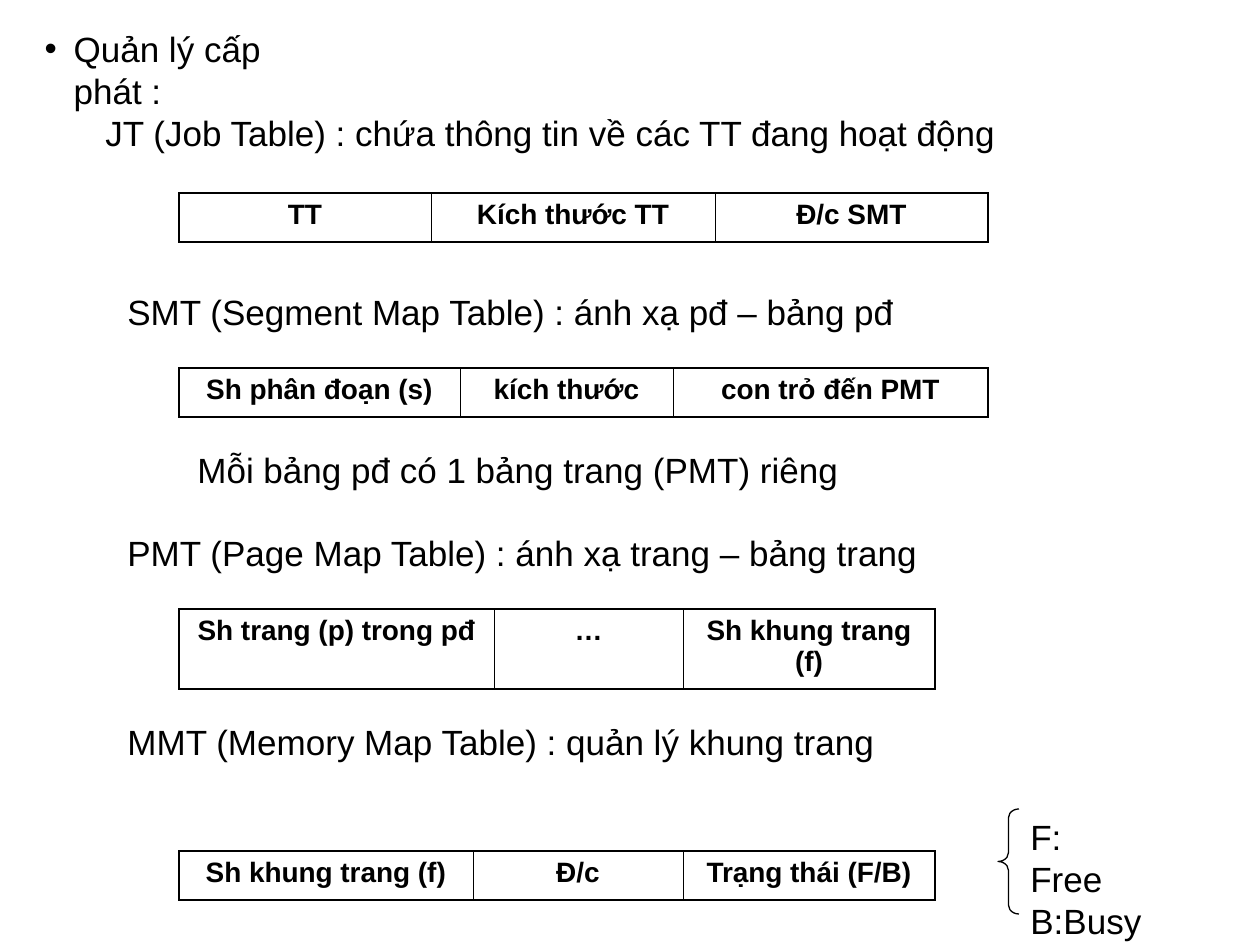
import dataclasses
import typing

import lxml.etree
import pptx
import pptx.dml.color
import pptx.enum.shapes
import pptx.enum.text
import pptx.oxml.ns
import pptx.util

BLACK = pptx.dml.color.RGBColor(0x00, 0x00, 0x00)
FONT = "Arial"
SCALE = 914400 / 126  # EMU in one px
GRID_LEFT = 179
THICK, THIN = 1.08, 0.45  # border widths in points


@dataclasses.dataclass(frozen=True)
class Label:
    left: int
    top: int
    width: int
    lines: tuple[str, ...]
    height: int = 55


@dataclasses.dataclass(frozen=True)
class Grid:
    top: int
    height: int
    widths: tuple[int, ...]
    heads: tuple[str, ...]


LABELS = (
    Label(93, 105, 922, ("JT (Job Table) : chứa thông tin về các TT đang hoạt động",)),
    Label(115, 284, 796, ("SMT (Segment Map Table) : ánh xạ pđ – bảng pđ",)),
    Label(185, 442, 667, ("Mỗi bảng pđ có 1 bảng trang (PMT) riêng",)),
    Label(115, 525, 820, ("PMT (Page Map Table) : ánh xạ trang – bảng trang",)),
    Label(115, 714, 777, ("MMT (Memory Map Table) : quản lý khung trang",)),
    Label(1018, 809, 137, ("F: Free", "B:Busy"), height=97),
)
GRIDS = (
    Grid(193, 49, (252, 284, 273), ("TT", "Kích thước TT", "Đ/c SMT")),
    Grid(368, 49, (281, 213, 315), ("Sh phân đoạn (s)", "kích thước", "con trỏ đến PMT")),
    Grid(609, 80, (315, 189, 252), ("Sh trang (p) trong pđ", "…", "Sh khung trang (f)")),
    Grid(851, 49, (294, 210, 252), ("Sh khung trang (f)", "Đ/c", "Trạng thái (F/B)")),
)


def px(count: int) -> pptx.util.Emu:
    return pptx.util.Emu(round(count * SCALE))


def write(frame: typing.Any, lines: tuple[str, ...], *, size: int = 20, bold: bool = False,
          center: bool = False, wrap: bool = False, bullet: bool = False) -> None:
    """Fill a text frame with one paragraph for each line."""
    frame.word_wrap = wrap
    align = pptx.enum.text.PP_ALIGN
    for order, line in enumerate(lines):
        para = frame.add_paragraph() if order else frame.paragraphs[0]
        para.text = line
        para.alignment = align.CENTER if center else align.LEFT
        para.space_before = pptx.util.Pt(0)
        if bullet:
            props = para._p.get_or_add_pPr()
            props.set("marL", str(px(29)))
            props.set("indent", str(-px(29)))
            mark = lxml.etree.SubElement(props, pptx.oxml.ns.qn("a:buChar"))
            mark.set("char", "•")
        para.font.name = FONT
        para.font.size = pptx.util.Pt(size)
        para.font.bold = bold
        para.font.color.rgb = BLACK


def draw_topic(slide: typing.Any) -> None:
    slide.shapes.title._element.getparent().remove(slide.shapes.title._element)
    body = slide.placeholders[1]
    body.left, body.top, body.width, body.height = px(32), px(21), px(331), px(55)
    write(body.text_frame, ("Quản lý cấp phát :",), wrap=True, bullet=True)
    body.text_frame.auto_size = pptx.enum.text.MSO_AUTO_SIZE.NONE


def draw_label(slide: typing.Any, label: Label) -> None:
    box = slide.shapes.add_textbox(px(label.left), px(label.top), px(label.width), px(label.height))
    write(box.text_frame, label.lines)


def add_edge(cell: typing.Any, side: str, width: float) -> None:
    props = cell._tc.get_or_add_tcPr()
    edge = lxml.etree.SubElement(props, pptx.oxml.ns.qn(f"a:ln{side}"))
    edge.set("w", str(pptx.util.Pt(width)))
    fill = lxml.etree.SubElement(edge, pptx.oxml.ns.qn("a:solidFill"))
    lxml.etree.SubElement(fill, pptx.oxml.ns.qn("a:srgbClr")).set("val", str(BLACK))


def draw_grid(slide: typing.Any, grid: Grid) -> None:
    count = len(grid.heads)
    table = slide.shapes.add_table(1, count, px(GRID_LEFT), px(grid.top),
                                   px(sum(grid.widths)), px(grid.height)).table
    table.first_row = table.horz_banding = False
    table.rows[0].height = px(grid.height)
    for order, (width, head) in enumerate(zip(grid.widths, grid.heads)):
        table.columns[order].width = px(width)
        cell = table.cell(0, order)
        write(cell.text_frame, (head,), size=16, bold=True, center=True, wrap=True)
        add_edge(cell, "L", THIN if order else THICK)
        add_edge(cell, "R", THIN if order < count - 1 else THICK)
        add_edge(cell, "T", THICK)
        add_edge(cell, "B", THICK)
        cell.fill.background()


def draw_brace(slide: typing.Any) -> None:
    kind = pptx.enum.shapes.MSO_SHAPE.LEFT_BRACE
    brace = slide.shapes.add_shape(kind, px(998), px(809), px(21), px(105))
    brace.adjustments[0] = 0.42
    brace.shadow.inherit = False
    brace.fill.background()
    brace.line.color.rgb = BLACK
    brace.line.width = pptx.util.Pt(0.75)


def main() -> None:
    deck = pptx.Presentation()
    deck.slide_width, deck.slide_height = px(1260), px(945)
    slide = deck.slides.add_slide(deck.slide_layouts[1])
    draw_topic(slide)
    for label in LABELS:
        draw_label(slide, label)
    for grid in GRIDS:
        draw_grid(slide, grid)
    draw_brace(slide)
    deck.save("out.pptx")


if __name__ == "__main__":
    main()
